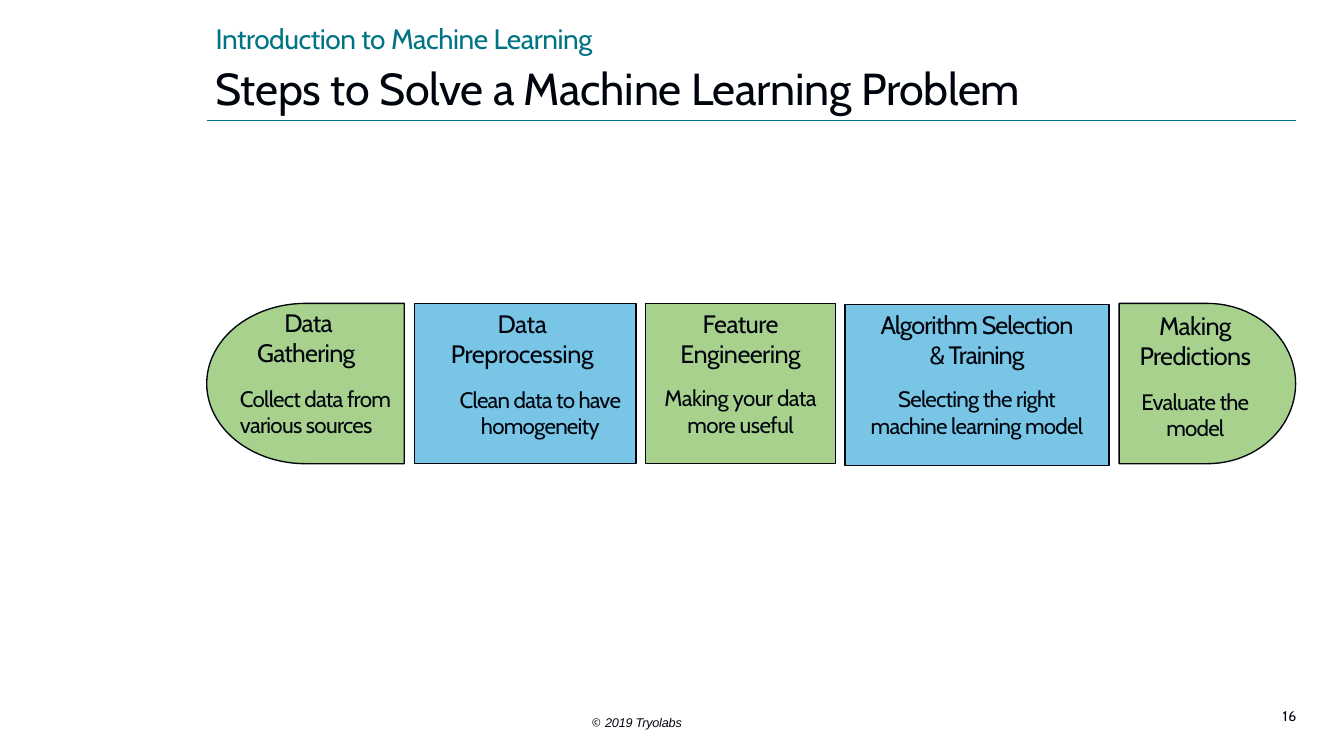
from copy import deepcopy
from dataclasses import dataclass

from lxml import etree
from pptx import Presentation, util as u
from pptx.dml.color import RGBColor
from pptx.enum import shapes, text
from pptx.oxml.ns import qn

PX = 9144  # 100 px to the inch
INK, TEAL, GREEN, BLUE = "00050D", "007484", "A9D18E", "78C5E6"
LEFT, MID = text.PP_ALIGN.LEFT, text.PP_ALIGN.CENTER
RECT, CAP = shapes.MSO_SHAPE.RECTANGLE, shapes.MSO_SHAPE.FLOWCHART_DELAY


@dataclass
class Para:
    words: str
    size: int
    track: int = 0  # letter spacing, hundredths of a point
    color: str = INK
    align: int = MID
    left: int = 0
    first: int = 0
    right: int = 0
    gap: int = 0


@dataclass
class Step:
    kind: int
    box: tuple[int, int, int, int]
    fill: str
    head: Para
    note: Para
    turn: int = 0
    label: tuple[int, int, int, int] | None = None


def scale(box: tuple[int, ...]) -> list[int]:
    return [n * PX for n in box]


def tint(code: str) -> RGBColor:
    return RGBColor.from_string(code)


def fill_text(frame, paras: list[Para], top: int) -> None:
    frame.word_wrap = True
    frame.vertical_anchor = text.MSO_ANCHOR.TOP
    frame.margin_left = frame.margin_right = frame.margin_bottom = 0
    frame.margin_top = top * PX
    for i, para in enumerate(paras):
        p = frame.add_paragraph() if i else frame.paragraphs[0]
        p.text = para.words
        p.alignment = para.align
        if para.gap:
            p.space_before = u.Pt(para.gap)
        props = p._p.get_or_add_pPr()
        for key, n in (("marL", para.left), ("indent", para.first), ("marR", para.right)):
            props.set(key, str(n * PX))
        for run in p.runs:
            run.font.name = "Cabin"
            run.font.size = u.Pt(para.size)
            run.font.color.rgb = tint(para.color)
            run._r.get_or_add_rPr().set("spc", str(para.track))
        for br in p._p.findall(qn("a:br")):
            br.append(deepcopy(p.runs[0]._r.rPr))


def add_text(slide, box: tuple[int, ...], paras: list[Para], top: int = 0):
    frame = slide.shapes.add_textbox(*scale(box)).text_frame
    fill_text(frame, paras, top)
    return frame


def add_step(slide, step: Step) -> None:
    shape = slide.shapes.add_shape(step.kind, *scale(step.box))
    shape.shadow.inherit = False
    shape.rotation = step.turn
    shape.fill.solid()
    shape.fill.fore_color.rgb = tint(step.fill)
    shape.line.color.rgb = tint(INK)
    shape.line.width = u.Pt(0.96)
    paras = [step.head, step.note]
    if step.label:
        add_text(slide, step.label, paras, 1)
    else:
        fill_text(shape.text_frame, paras, 5)


def add_rule(slide, x: int, y: int, end: int) -> None:
    rule = slide.shapes.add_connector(
        shapes.MSO_CONNECTOR.STRAIGHT, *scale((x, y, end, y)))
    rule.line.color.rgb = tint(TEAL)
    rule.line.width = u.Pt(0.48)
    etree.SubElement(rule._element.spPr, qn("a:effectLst"))


STEPS = [
    Step(CAP, (205, 301, 196, 159), GREEN,
         Para("Data\vGathering", 18, -50, align=LEFT, left=18, first=27),
         Para("Collect data from\vvarious sources", 16, -50, align=LEFT, left=1, gap=12),
         turn=180, label=(237, 304, 163, 133)),
    Step(RECT, (411, 301, 220, 159), BLUE,
         Para("Data\vPreprocessing", 18, -28, right=6),
         Para("Clean data to have\vhomogeneity", 16, -55, left=30, gap=12)),
    Step(RECT, (640, 301, 189, 159), GREEN,
         Para("Feature\vEngineering", 18, -40),
         Para("Making your data\vmore useful", 16, -40, gap=11)),
    Step(RECT, (838, 302, 262, 160), BLUE,
         Para("Algorithm Selection\v& Training", 18, -70),
         Para("Selecting the right\vmachine learning model", 16, -50, gap=11)),
    Step(CAP, (1110, 301, 175, 159), GREEN,
         Para("Making\vPredictions", 18, -45),
         Para("Evaluate the\vmodel", 16, -55, gap=12),
         label=(1125, 307, 121, 133)),
]


def main() -> None:
    deck = Presentation()
    deck.slide_width, deck.slide_height = scale((1333, 750))
    slide = deck.slides.add_slide(deck.slide_layouts[6])
    add_rule(slide, 205, 119, 1285)
    add_text(slide, (213, 16, 830, 99), [
        Para("Introduction to Machine Learning", 20, -35, TEAL, LEFT, left=1),
        Para("Steps to Solve a Machine Learning Problem", 32, -25,
             align=LEFT, left=1, gap=4),
    ], 5)
    for step in STEPS:
        add_step(slide, step)
    add_text(slide, (1268, 702, 25, 18), [Para("16", 10, 60, align=LEFT, left=4)])
    foot = add_text(slide, (586, 709, 92, 17), [Para("© ", 9, 50, align=LEFT, left=1)])
    owner = foot.paragraphs[0].add_run()
    owner.text = "2019 Tryolabs"
    owner.font.name = "Arial"
    owner.font.size = u.Pt(9)
    owner.font.italic = True
    owner.font.color.rgb = tint(INK)
    owner._r.get_or_add_rPr().set("spc", "-15")
    deck.save("out.pptx")


if __name__ == "__main__":
    main()
